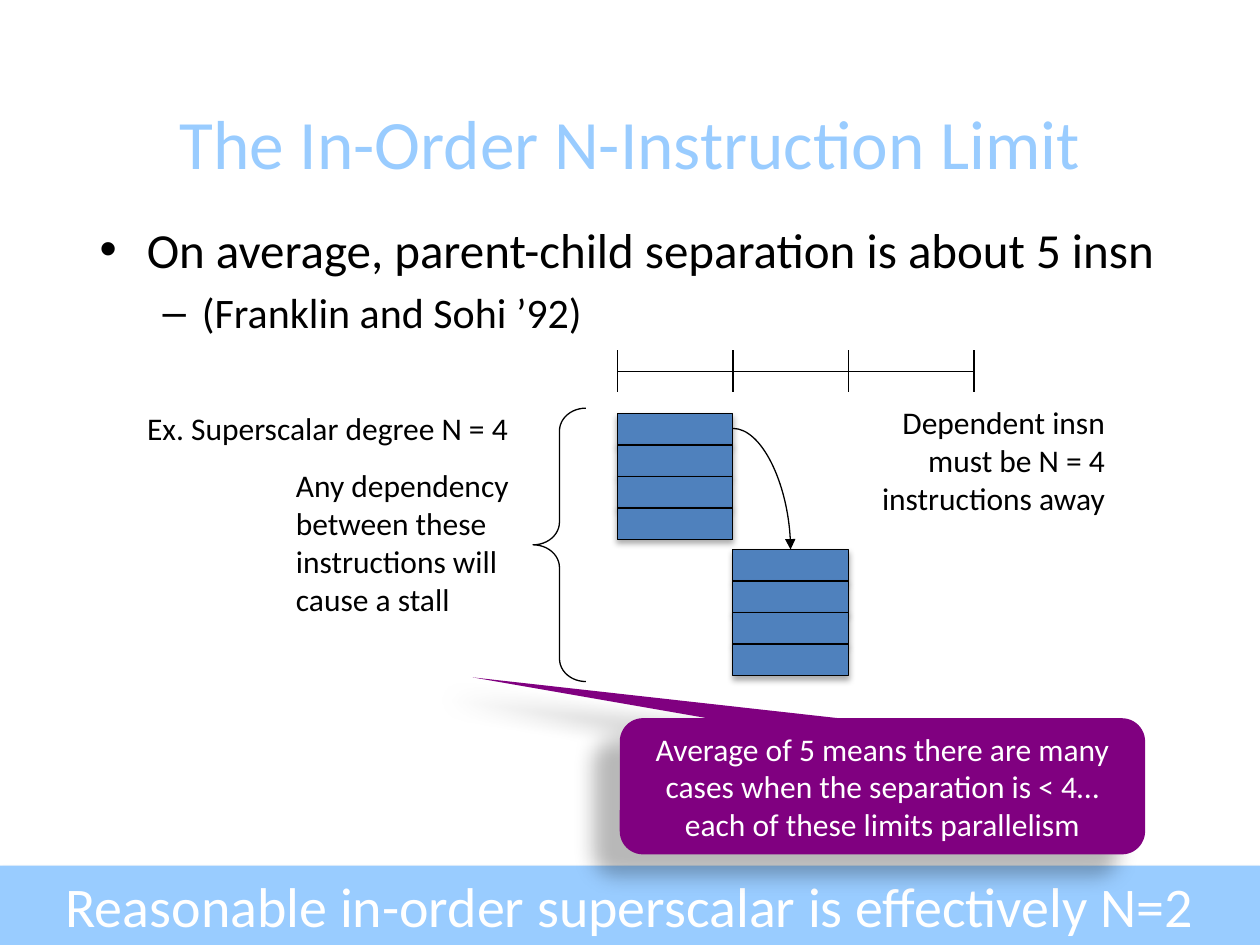
from lxml import etree
from pptx import Presentation
from pptx.dml.color import RGBColor
from pptx.enum import shapes, text
from pptx.oxml import ns
from pptx.util import Pt

BLACK, WHITE, SKY, BLUE, PURPLE = "000000", "FFFFFF", "99CCFF", "4F81BD", "800080"
colour = RGBColor.from_string


def add_run(paragraph, words, size, ink=BLACK):
    run = paragraph.add_run()
    run.text = words
    run.font.name = "Calibri"
    run.font.size = Pt(size)
    run.font.color.rgb = colour(ink)


def set_shadow(shape, opacity, blur, distance, angle):
    """Give a shape a black outer shadow; opacity in percent, angle in degrees."""
    shape.shadow.inherit = False
    effects = shape.element.spPr.find(ns.qn("a:effectLst"))
    outer = etree.SubElement(effects, ns.qn("a:outerShdw"), blurRad=str(Pt(blur)),
                             dist=str(Pt(distance)), dir=str(angle * 60000),
                             rotWithShape="0")
    ink = etree.SubElement(outer, ns.qn("a:srgbClr"), val=BLACK)
    etree.SubElement(ink, ns.qn("a:alpha"), val=str(opacity * 1000))


presentation = Presentation()
presentation.slide_width, presentation.slide_height = Pt(720), Pt(540)
slide = presentation.slides.add_slide(presentation.slide_layouts[3])
title, body, conclusion = slide.placeholders

# Band behind the conclusion
band_box = [Pt(value) for value in (0, 494.64, 720, 45.36)]
band = slide.shapes.add_shape(shapes.MSO_SHAPE.RECTANGLE, *band_box)
band.fill.solid()
band.fill.fore_color.rgb = colour(SKY)
band.line.fill.background()
set_shadow(band, 35, 3.1, 1.8, 90)
band.element.getparent().insert(2, band.element)

# Title, list and conclusion
title.left, title.top, title.width, title.height = Pt(49.7), Pt(53.3), Pt(620.6), Pt(55.4)
body.left, body.top, body.width, body.height = Pt(49.7), Pt(121.7), Pt(631.4), Pt(93.6)
conclusion.left, conclusion.top, conclusion.width, conclusion.height = band_box
for placeholder in (title, body, conclusion):
    placeholder.text_frame.auto_size = text.MSO_AUTO_SIZE.NONE
    placeholder.text_frame.word_wrap = True

title.text_frame.vertical_anchor = text.MSO_ANCHOR.MIDDLE
paragraph = title.text_frame.paragraphs[0]
paragraph.alignment = text.PP_ALIGN.CENTER
add_run(paragraph, "The In-Order N-Instruction Limit", 39.6, SKY)

points = [
    ("On average, parent-child separation is about 5 insn", 28, 27, -27, 0, "•"),
    ("(Franklin and Sohi ’92)", 24, 58.5, -22.5, 4.8, "–"),
]
for level, (words, size, margin, indent, space, bullet) in enumerate(points):
    paragraph = body.text_frame.add_paragraph() if level else body.text_frame.paragraphs[0]
    paragraph.level = level
    paragraph.space_before = Pt(space)
    properties = paragraph._p.get_or_add_pPr()
    properties.set("marL", str(Pt(margin)))
    properties.set("indent", str(Pt(indent)))
    etree.SubElement(properties, ns.qn("a:buChar"), char=bullet)
    add_run(paragraph, words, size)

frame = conclusion.text_frame
frame.vertical_anchor = text.MSO_ANCHOR.MIDDLE
frame.margin_top = frame.margin_bottom = 0
paragraph = frame.paragraphs[0]
paragraph.level = 1
paragraph.alignment = text.PP_ALIGN.CENTER
paragraph.space_before = Pt(0)
properties = paragraph._p.get_or_add_pPr()
properties.set("marL", "0")
properties.set("indent", "0")
etree.SubElement(properties, ns.qn("a:buNone"))
add_run(paragraph, "Reasonable in-order superscalar is effectively N=2", 32, WHITE)

# Two groups of four instructions
cell_width, cell_height, first_left = 66, 18, 352.8
for group, group_top in enumerate((236.2, 314)):
    for row in range(4):
        instruction = slide.shapes.add_shape(
            shapes.MSO_SHAPE.RECTANGLE, Pt(first_left + group * cell_width),
            Pt(group_top + row * cell_height), Pt(cell_width), Pt(cell_height))
        instruction.fill.solid()
        instruction.fill.fore_color.rgb = colour(BLUE)
        instruction.line.color.rgb = colour(BLACK)
        instruction.line.width = Pt(0.75)
        set_shadow(instruction, 32, 3.5, 2.2, 90)

# Time scale with its ticks, and the dependency arrow
scale_end = 556.6
ticks = [first_left + step * cell_width for step in range(3)] + [scale_end]
lines = [(first_left, 212.4, scale_end, 212.4)] + [(x, 200.2, x, 224) for x in ticks]
dependency = (first_left + cell_width, 244.8, first_left + 1.5 * cell_width, 314)
for ends in lines + [dependency]:
    curved = ends is dependency
    kind = shapes.MSO_CONNECTOR.CURVE if curved else shapes.MSO_CONNECTOR.STRAIGHT
    connector = slide.shapes.add_connector(kind, *[Pt(value) for value in ends])
    connector.line.color.rgb = colour(BLACK)
    connector.line.width = Pt(0.75)
    properties = connector.element.spPr
    etree.SubElement(properties, ns.qn("a:effectLst"))
    if curved:
        properties.find(ns.qn("a:prstGeom")).set("prst", "curvedConnector2")
        etree.SubElement(properties.find(ns.qn("a:ln")), ns.qn("a:tailEnd"), type="triangle")

brace = slide.shapes.add_shape(shapes.MSO_SHAPE.LEFT_BRACE,
                               Pt(304.6), Pt(233.3), Pt(30.2), Pt(156.2))
brace.adjustments[0] = 0.43
brace.adjustments[1] = 0.5
brace.fill.background()
brace.line.color.rgb = colour(BLACK)
brace.line.width = Pt(0.75)
brace.shadow.inherit = False

# Labels
labels = [
    ((77, 230.4, 227.5, 28.8), text.PP_ALIGN.LEFT, ["Ex. Superscalar degree N = 4"]),
    ((162, 262.8, 136.1, 94.3), text.PP_ALIGN.LEFT,
     ["Any dependency", "between these", "instructions will", "cause a stall"]),
    ((496.8, 226.8, 141.8, 72.7), text.PP_ALIGN.RIGHT,
     ["Dependent insn", "must be N = 4", "instructions away"]),
]
for box, alignment, rows in labels:
    frame = slide.shapes.add_textbox(*[Pt(value) for value in box]).text_frame
    frame.word_wrap = False
    for number, words in enumerate(rows):
        paragraph = frame.add_paragraph() if number else frame.paragraphs[0]
        paragraph.alignment = alignment
        add_run(paragraph, words, 18)

# Callout
callout = slide.shapes.add_shape(shapes.MSO_SHAPE.ROUNDED_RECTANGULAR_CALLOUT,
                                 Pt(354.2), Pt(410.4), Pt(300.2), Pt(77.8))
for number, value in enumerate((-0.78, -0.8, 0.17)):
    callout.adjustments[number] = value
callout.fill.solid()
callout.fill.fore_color.rgb = colour(PURPLE)
callout.line.fill.background()
set_shadow(callout, 28, 11.8, 19.7, 141)
callout.text_frame.word_wrap = True
paragraph = callout.text_frame.paragraphs[0]
paragraph.alignment = text.PP_ALIGN.CENTER
add_run(paragraph, "Average of 5 means there are many cases when the separation is < 4… "
        "each of these limits parallelism", 18, WHITE)

presentation.save("out.pptx")
